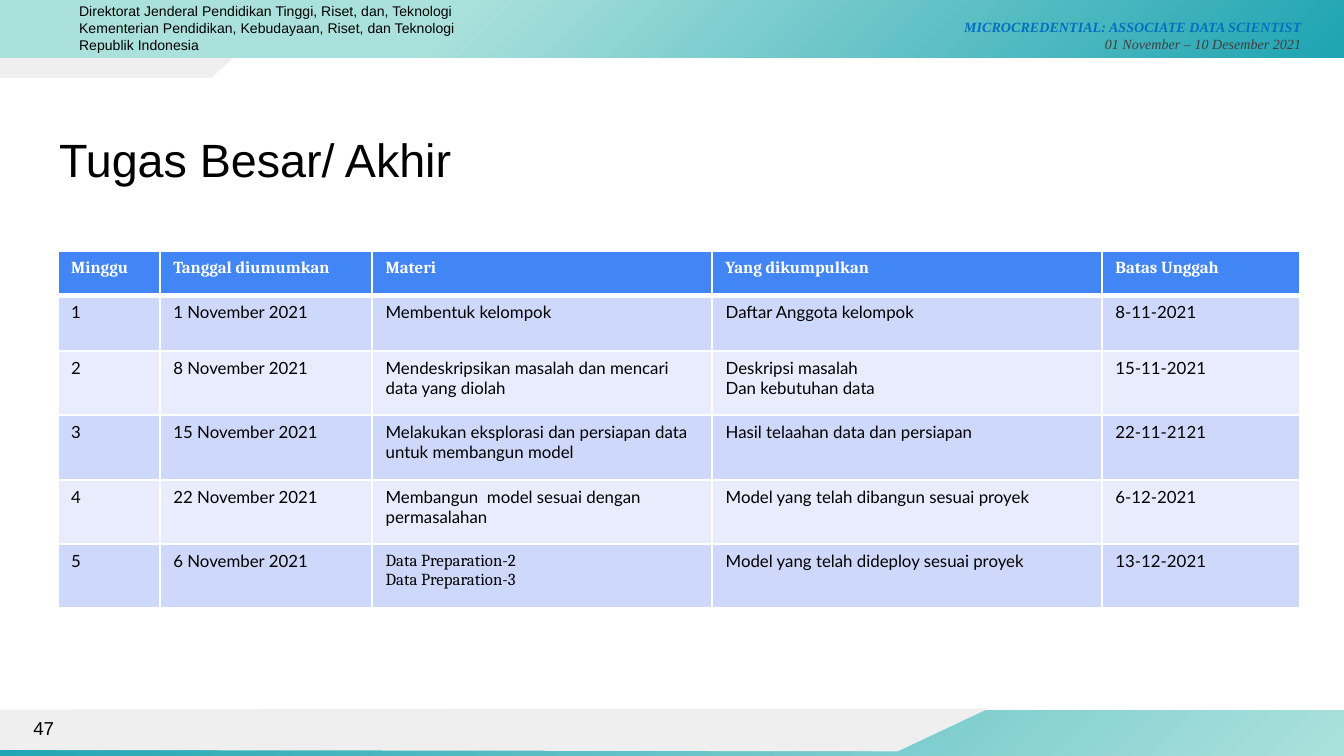
from lxml import etree
from pptx import Presentation
from pptx.dml.color import RGBColor
from pptx.enum.shapes import MSO_SHAPE
from pptx.enum.text import MSO_ANCHOR, MSO_AUTO_SIZE, PP_ALIGN
from pptx.oxml.ns import qn
from pptx.util import Inches, Pt

RECTANGLE = MSO_SHAPE.RECTANGLE
TOP, MIDDLE = MSO_ANCHOR.TOP, MSO_ANCHOR.MIDDLE
LEFT, RIGHT = PP_ALIGN.LEFT, PP_ALIGN.RIGHT
NO_AUTOFIT = MSO_AUTO_SIZE.NONE

COLORS = {
    "black": "000000", "white": "FFFFFF", "gray": "EFEFEF", "date": "3F3F3F",
    "program": "0070C0", "teal": "1EA4B2", "mint": "ABE1DC",
    "header": "4285F4", "odd": "CED8FA", "even": "E8ECFC",
}
COLUMN_WIDTHS = [0.76, 1.58, 2.53, 2.9, 1.47]
ROW_HEIGHTS = [0.33, 0.41, 0.48, 0.48, 0.48, 0.47]
SCHEDULE = [
    ["Minggu", "Tanggal diumumkan", "Materi", "Yang dikumpulkan", "Batas Unggah"],
    ["1", "1 November 2021", "Membentuk kelompok", "Daftar Anggota kelompok", "8-11-2021"],
    ["2", "8 November 2021", "Mendeskripsikan masalah dan mencari data yang diolah",
     "Deskripsi masalah\nDan kebutuhan data", "15-11-2021"],
    ["3", "15 November 2021", "Melakukan eksplorasi dan persiapan data untuk membangun model",
     "Hasil telaahan data dan persiapan", "22-11-2121"],
    ["4", "22 November 2021", "Membangun  model sesuai dengan permasalahan",
     "Model yang telah dibangun sesuai proyek", "6-12-2021"],
    ["5", "6 November 2021", "Data Preparation-2\nData Preparation-3",
     "Model yang telah dideploy sesuai proyek", "13-12-2021"],
]
CAMBRIA_CELL = (5, 2)


class SlideBuilder:
    def __init__(self, slide):
        self.slide = slide

    def color(self, name):
        return RGBColor.from_string(COLORS[name])

    def style(self, paragraph, size, font="Arial", color="black", bold=False,
              italic=False, align=LEFT):
        paragraph.alignment = align
        paragraph.font.size = Pt(size)
        paragraph.font.name = font
        paragraph.font.bold = bold
        paragraph.font.italic = italic
        paragraph.font.color.rgb = self.color(color)

    def title(self, text, left, top, width, height):
        shape = self.slide.shapes.title
        shape.left, shape.top = Inches(left), Inches(top)
        shape.width, shape.height = Inches(width), Inches(height)
        frame = shape.text_frame
        frame.text = text
        frame.auto_size = NO_AUTOFIT
        frame.vertical_anchor = MIDDLE
        self.style(frame.paragraphs[0], 25)

    def text(self, text, left, top, width, height, inset_top=0.05, anchor=TOP, **options):
        box = self.slide.shapes.add_textbox(
            Inches(left), Inches(top), Inches(width), Inches(height))
        frame = box.text_frame
        frame.word_wrap = True
        frame.vertical_anchor = anchor
        frame.margin_top = Inches(inset_top)
        frame.text = text
        for paragraph in frame.paragraphs:
            self.style(paragraph, **options)
        return frame

    def gradient_band(self, top, height, stops):
        """Radial gradient that starts in the bottom right corner."""
        shape = self.slide.shapes.add_shape(
            RECTANGLE, 0, Inches(top), Inches(10), Inches(height))
        shape.shadow.inherit = False
        shape.line.fill.background()
        shape.fill.gradient()
        gradient = shape._element.spPr.find(qn("a:gradFill"))
        for child in list(gradient):
            gradient.remove(child)
        stop_list = etree.SubElement(gradient, qn("a:gsLst"))
        for position, name in stops:
            stop = etree.SubElement(stop_list, qn("a:gs"), pos=str(position * 1000))
            etree.SubElement(stop, qn("a:srgbClr"), val=COLORS[name])
        circle = etree.SubElement(gradient, qn("a:path"), path="circle")
        etree.SubElement(circle, qn("a:fillToRect"), l="100000", t="100000")

    def polygon(self, points, color):
        corners = [(Inches(x), Inches(y)) for x, y in points]
        builder = self.slide.shapes.build_freeform(*corners[0], scale=1.0)
        builder.add_line_segments(corners[1:], close=True)
        shape = builder.convert_to_shape()
        shape.shadow.inherit = False
        shape.fill.solid()
        shape.fill.fore_color.rgb = self.color(color)
        shape.line.fill.background()

    def cell_borders(self, cell, widths):
        properties = cell._tc.get_or_add_tcPr()
        for index, (side, width) in enumerate(widths.items()):
            line = etree.Element(qn(f"a:ln{side}"), w=str(Pt(width)))
            fill = etree.SubElement(line, qn("a:solidFill"))
            etree.SubElement(fill, qn("a:srgbClr"), val=COLORS["white"])
            properties.insert(index, line)

    def table(self, rows, left, top):
        table = self.slide.shapes.add_table(
            len(rows), len(rows[0]), Inches(left), Inches(top),
            Inches(sum(COLUMN_WIDTHS)), Inches(sum(ROW_HEIGHTS))).table
        for column, width in zip(table.columns, COLUMN_WIDTHS):
            column.width = Inches(width)
        for row_index, values in enumerate(rows):
            table.rows[row_index].height = Inches(ROW_HEIGHTS[row_index])
            is_header = row_index == 0
            fill = "header" if is_header else ("even", "odd")[row_index % 2]
            borders = {"L": 0.96, "R": 0.96, "T": 3 if row_index == 1 else 0.96,
                       "B": 3 if is_header else 0.96}
            for column_index, value in enumerate(values):
                cell = table.cell(row_index, column_index)
                cell.text = value
                cell.fill.solid()
                cell.fill.fore_color.rgb = self.color(fill)
                self.cell_borders(cell, borders)
                use_cambria = is_header or (row_index, column_index) == CAMBRIA_CELL
                for paragraph in cell.text_frame.paragraphs:
                    self.style(paragraph, 9, "Cambria" if use_cambria else "Lato",
                               "white" if is_header else "black", bold=is_header)


def main():
    presentation = Presentation()
    presentation.slide_width = Inches(10)
    presentation.slide_height = presentation.slide_width * 9 // 16
    title_only = presentation.slide_layouts[5]
    builder = SlideBuilder(presentation.slides.add_slide(title_only))

    # Header and footer bands
    builder.polygon([(1.83, 0.35), (0, 0.33), (0, 0.58), (1.57, 0.58)], "gray")
    builder.gradient_band(5.29, 0.36, [(0, "mint"), (100, "teal")])
    builder.polygon([(7.36, 5.27), (0, 5.28), (0, 5.58), (6.68, 5.59)], "gray")
    builder.gradient_band(0, 0.43, [(0, "teal"), (67, "mint"), (100, "mint")])

    # Header text, with the date after a line break
    program = builder.text(
        "MICROCREDENTIAL: ASSOCIATE DATA SCIENTIST\v01 November – 10 Desember 2021",
        5.95, 0.05, 3.83, 0.39, inset_top=0.09, size=7.5, font="Times New Roman",
        color="program", bold=True, italic=True, align=RIGHT)
    date = program.paragraphs[0].runs[1]
    date.font.bold = False
    date.font.color.rgb = builder.color("date")
    builder.text(
        "Direktorat Jenderal Pendidikan Tinggi, Riset, dan, Teknologi\n"
        "Kementerian Pendidikan, Kebudayaan, Riset, dan Teknologi Republik Indonesia",
        0.49, -0.03, 3.33, 0.48, size=7.5)

    # Title and schedule
    builder.title("Tugas Besar/ Akhir", 0.34, 0.87, 9.32, 0.62)
    builder.table(SCHEDULE, 0.43, 1.87)

    # Page number
    builder.text("47", 0, 5.27, 0.5, 0.3, anchor=MIDDLE, size=10, align=RIGHT)

    presentation.save("out.pptx")


if __name__ == "__main__":
    main()
